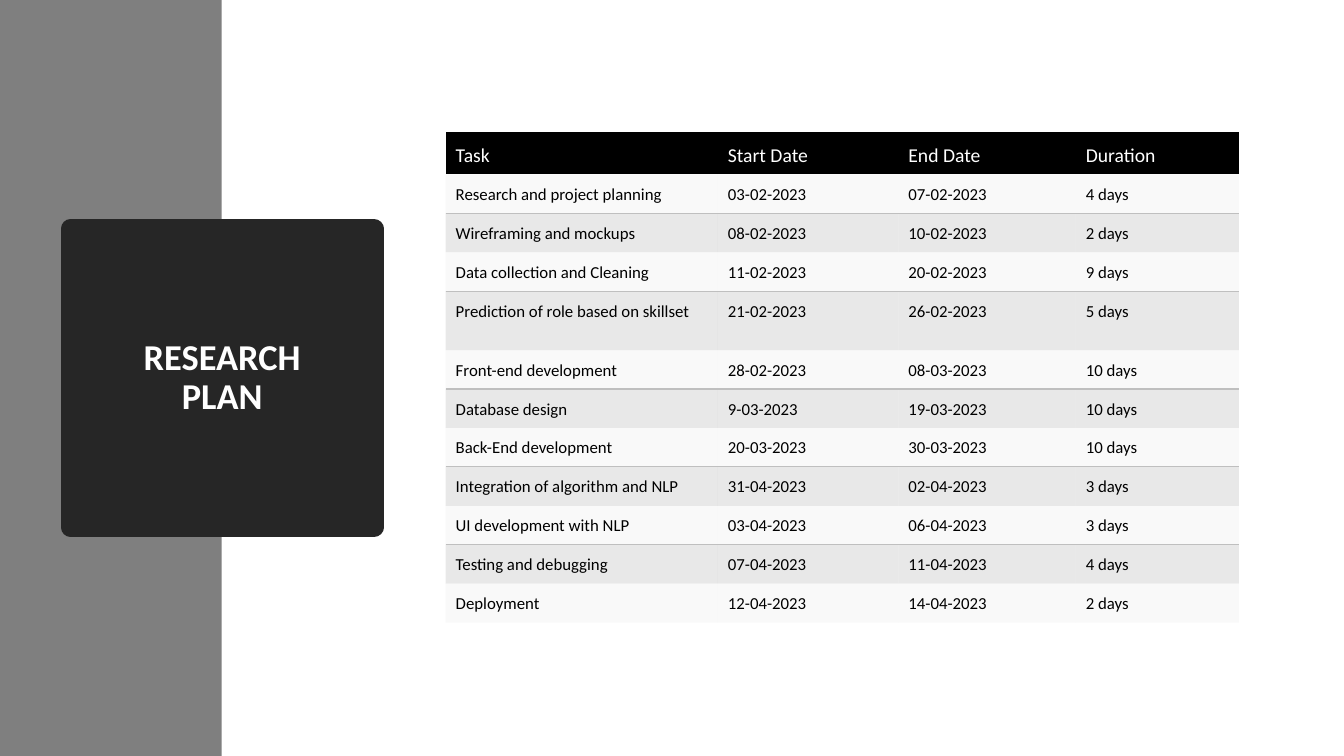
from lxml import etree
from pptx import Presentation
from pptx import util as u
from pptx.dml.color import RGBColor
from pptx.enum import shapes, text
from pptx.oxml import ns

WIDTH, HEIGHT = u.Inches(13.33), u.Inches(7.5)
FONT = "Calibri"
WHITE = RGBColor(0xFF, 0xFF, 0xFF)
BLACK = RGBColor(0, 0, 0)
PANEL_GREY = RGBColor(0x7F, 0x7F, 0x7F)
TITLE_DARK = RGBColor(0x26, 0x26, 0x26)
BAND_LIGHT = RGBColor(0xF2, 0xF2, 0xF2)
BAND_DARK = RGBColor(0xBF, 0xBF, 0xBF)

HEADINGS = ("Task", "Start Date", "End Date", "Duration")
TASKS = (
    ("Research and project planning", "03-02-2023", "07-02-2023", "4 days"),
    ("Wireframing and mockups", "08-02-2023", "10-02-2023", "2 days"),
    ("Data collection and Cleaning", "11-02-2023", "20-02-2023", "9 days"),
    ("Prediction of role based on skillset", "21-02-2023", "26-02-2023", "5 days"),
    ("Front-end development", "28-02-2023", "08-03-2023", "10 days"),
    ("Database design", "9-03-2023", "19-03-2023", "10 days"),
    ("Back-End development", "20-03-2023", "30-03-2023", "10 days"),
    ("Integration of algorithm and NLP", "31-04-2023", "02-04-2023", "3 days"),
    ("UI development with NLP", "03-04-2023", "06-04-2023", "3 days"),
    ("Testing and debugging", "07-04-2023", "11-04-2023", "4 days"),
    ("Deployment", "12-04-2023", "14-04-2023", "2 days"),
)
COLUMN_SHARES = (20.25, 13.43, 13.2, 12.15)
HEADER_SHARE, TASK_SHARE, TALL_SHARE = 5.6, 5.15, 7.8
TALL_ROW = 4


def across(percent):
    """Length as a percentage of the slide's width."""
    return round(WIDTH * percent / 100)


def down(percent):
    """Length as a percentage of the slide's height."""
    return round(HEIGHT * percent / 100)


def add_block(slide, left, top, width, height, color):
    block = slide.shapes.add_shape(
        shapes.MSO_SHAPE.RECTANGLE,
        across(left), down(top), across(width), down(height))
    block.shadow.inherit = False
    block.fill.solid()
    block.fill.fore_color.rgb = color
    block.line.fill.background()
    return block


def add_run(paragraph, words, size, color, bold=False):
    run = paragraph.add_run()
    run.text = words
    run.font.name = FONT
    run.font.size = u.Pt(size)
    run.font.bold = bold
    run.font.color.rgb = color


def add_title(slide, lines):
    block = add_block(slide, 5.25, 30.27, 22.58, 39.47, TITLE_DARK)
    block.line.color.rgb = TITLE_DARK
    block.line.width = u.Pt(13.75)
    outline = block.line.fill._xPr
    etree.SubElement(outline, ns.qn("a:round"))
    frame = block.text_frame
    frame.word_wrap = True
    frame.vertical_anchor = text.MSO_ANCHOR.MIDDLE
    paragraph = frame.paragraphs[0]
    paragraph.alignment = text.PP_ALIGN.CENTER
    paragraph.line_spacing = 0.9
    for index, line in enumerate(lines):
        if index:
            paragraph.add_line_break()
        add_run(paragraph, line, 26, WHITE, bold=True)


def set_borders(cell, ruled_side):
    """Rule one side of the cell in grey and clear the others."""
    properties = cell._tc.get_or_add_tcPr()
    for side in ("lnL", "lnR", "lnT", "lnB"):
        border = etree.SubElement(properties, ns.qn(f"a:{side}"), w=str(u.Pt(1)))
        if side == ruled_side:
            fill = etree.SubElement(border, ns.qn("a:solidFill"))
            etree.SubElement(fill, ns.qn("a:srgbClr"), val=str(BAND_DARK))
        else:
            etree.SubElement(border, ns.qn("a:noFill"))


def fill_cell(cell, color, opacity):
    cell.fill.solid()
    cell.fill.fore_color.rgb = color
    if opacity < 100:
        tint = cell._tc.tcPr.find(ns.qn("a:solidFill"))[0]
        etree.SubElement(tint, ns.qn("a:alpha"), val=str(opacity * 1000))


def row_style(row, last_row):
    """Fill, opacity, ruled side, text size, text colour and anchor of a row."""
    if row == 0:
        return BLACK, 100, None, 14, WHITE, text.MSO_ANCHOR.MIDDLE
    if row % 2:
        side = None if row == last_row else "lnB"
        return BAND_LIGHT, 45, side, 12, BLACK, text.MSO_ANCHOR.TOP
    return BAND_DARK, 35, "lnT", 12, BLACK, text.MSO_ANCHOR.TOP


def add_plan(slide):
    rows = (HEADINGS, *TASKS)
    heights = [HEADER_SHARE] + [TASK_SHARE] * len(TASKS)
    heights[TALL_ROW] = TALL_SHARE
    table = slide.shapes.add_table(
        len(rows), len(HEADINGS), across(33.16), down(17.47),
        across(sum(COLUMN_SHARES)), down(sum(heights))).table
    table.horz_banding = False
    table.first_row = False
    for column, share in zip(table.columns, COLUMN_SHARES):
        column.width = across(share)
    for row, (values, share) in enumerate(zip(rows, heights)):
        table.rows[row].height = down(share)
        color, opacity, side, size, ink, anchor = row_style(row, len(TASKS))
        for column, value in enumerate(values):
            cell = table.cell(row, column)
            cell.margin_left = cell.margin_right = cell.margin_top = u.Inches(0.1)
            cell.margin_bottom = u.Inches(0.05)
            cell.vertical_anchor = anchor
            set_borders(cell, side)
            fill_cell(cell, color, opacity)
            add_run(cell.text_frame.paragraphs[0], value, size, ink)


def main():
    presentation = Presentation()
    presentation.slide_width, presentation.slide_height = WIDTH, HEIGHT
    slide = presentation.slides.add_slide(presentation.slide_layouts[6])
    add_block(slide, 0, 0, 16.5, 100, PANEL_GREY)
    add_title(slide, ("RESEARCH", "PLAN"))
    add_plan(slide)
    presentation.save("out.pptx")


if __name__ == "__main__":
    main()
